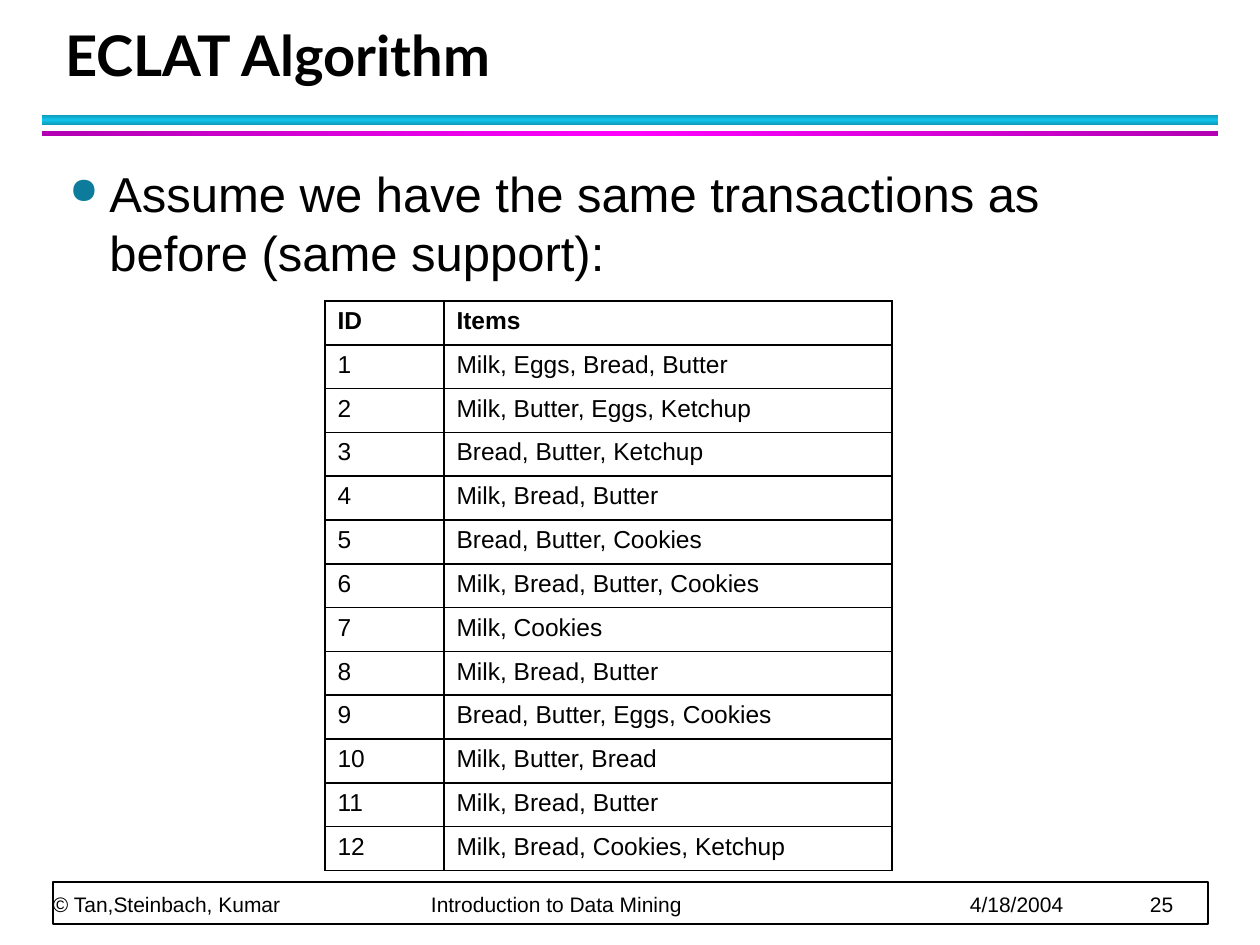
from dataclasses import dataclass
from copy import deepcopy

from pptx import Presentation
from pptx.dml.color import RGBColor
from pptx.enum.shapes import MSO_SHAPE
from pptx.enum.text import MSO_ANCHOR
from pptx.oxml import parse_xml
from pptx.oxml.ns import nsdecls, qn
from pptx.util import Pt

TITLE = "ECLAT Algorithm"
BODY = "Assume we have the same transactions as before (same support):"
HEADER = ("ID", "Items")
TRANSACTIONS = [
    "Milk, Eggs, Bread, Butter",
    "Milk, Butter, Eggs, Ketchup",
    "Bread, Butter, Ketchup",
    "Milk, Bread, Butter",
    "Bread, Butter, Cookies",
    "Milk, Bread, Butter, Cookies",
    "Milk, Cookies",
    "Milk, Bread, Butter",
    "Bread, Butter, Eggs, Cookies",
    "Milk, Butter, Bread",
    "Milk, Bread, Butter",
    "Milk, Bread, Cookies, Ketchup",
]
# Footer parts with their left edge, measured from the footer's own left
FOOTER = [
    ("© Tan,Steinbach, Kumar", 0),
    ("Introduction to Data Mining", 378),
    ("4/18/2004", 917),
    ("25", 1097),
]


@dataclass(frozen=True)
class Theme:
    ink: str = "000000"
    paper: str = "FFFFFF"
    bullet: str = "0C7B9C"
    cyan: tuple = ("0E9BBA", "12C2E9")
    magenta: tuple = ("B200B2", "FF00FF")
    font: str = "Arial"
    title_font: str = "Lato"
    title: int = 32
    body: int = 28
    table: int = 14
    footer: int = 12


T = Theme()
PX = 914400 // 126


def px(*values):
    return [v * PX for v in values]


def rgb(color):
    return RGBColor.from_string(color)


def style(p, size, font=T.font, bold=False):
    for r in p.runs:
        r.font.size = Pt(size)
        r.font.name = font
        r.font.bold = bold
        r.font.color.rgb = rgb(T.ink)


def add_text(slide, box, text, anchor=MSO_ANCHOR.TOP):
    tf = slide.shapes.add_textbox(*px(*box)).text_frame
    tf.word_wrap = True
    tf.vertical_anchor = anchor
    tf.text = text
    return tf


def add_rect(slide, box):
    sp = slide.shapes.add_shape(MSO_SHAPE.RECTANGLE, *px(*box))
    sp.shadow.inherit = False
    return sp


def add_band(slide, box, colors, angle):
    """Rule that runs from the edge colour to the middle colour and back."""
    edge, middle = colors
    sp = add_rect(slide, box)
    sp.line.fill.background()
    sp.fill.gradient()
    sp.fill.gradient_angle = angle
    stops = sp._element.spPr.find(".//" + qn("a:gsLst"))
    stops.append(deepcopy(stops[-1]))
    for stop, color, position in zip(sp.fill.gradient_stops, (edge, middle, edge), (0, 0.5, 1)):
        stop.color.rgb = rgb(color)
        stop.position = position


def add_title(slide):
    tf = add_text(slide, (53, 21, 1142, 73), TITLE, MSO_ANCHOR.BOTTOM)
    p = tf.paragraphs[0]
    p.line_spacing = Pt(36)
    style(p, T.title, T.title_font, bold=True)


def add_body(slide):
    p = add_text(slide, (57, 157, 1147, 714), BODY).paragraphs[0]
    style(p, T.body)
    p.space_before, p.space_after = Pt(3), Pt(4)
    pPr = p._p.get_or_add_pPr()
    indent = 40 * PX
    pPr.set("marL", str(indent))
    pPr.set("indent", str(-indent))
    for xml in (
        f'<a:buClr {nsdecls("a")}><a:srgbClr val="{T.bullet}"/></a:buClr>',
        f'<a:buSzPct {nsdecls("a")} val="75000"/>',
        f'<a:buChar {nsdecls("a")} char="●"/>',
    ):
        pPr.append(parse_xml(xml))


def add_borders(cell):
    tcPr = cell._tc.get_or_add_tcPr()
    for i, side in enumerate(("lnL", "lnR", "lnT", "lnB")):
        tcPr.insert(i, parse_xml(
            f'<a:{side} {nsdecls("a")} w="12700"><a:solidFill>'
            f'<a:srgbClr val="{T.ink}"/></a:solidFill></a:{side}>'))


def add_transactions(slide):
    rows = [HEADER] + [(str(i), items) for i, items in enumerate(TRANSACTIONS, 1)]
    widths = (119, 448)
    height = 570
    table = slide.shapes.add_table(
        len(rows), len(widths), *px(325, 301, sum(widths), height)).table
    table.first_row = table.horz_banding = False
    for column, width in zip(table.columns, px(*widths)):
        column.width = width
    for y, values in enumerate(rows):
        table.rows[y].height = height * PX // len(rows)
        for x, value in enumerate(values):
            cell = table.cell(y, x)
            cell.text = value
            cell.fill.solid()
            cell.fill.fore_color.rgb = rgb(T.paper)
            add_borders(cell)
            style(cell.text_frame.paragraphs[0], T.table, bold=y == 0)


def add_footer(slide):
    frame = add_rect(slide, (53, 882, 1155, 42))
    frame.fill.solid()
    frame.fill.fore_color.rgb = rgb(T.paper)
    frame.line.color.rgb = rgb(T.ink)
    frame.line.width = Pt(1)

    text = "\t".join(part for part, _ in FOOTER)
    tf = add_text(slide, (53, 882, 1153, 35), text, MSO_ANCHOR.BOTTOM)
    tf.margin_left = tf.margin_right = tf.margin_top = tf.margin_bottom = 0
    p = tf.paragraphs[0]
    p.line_spacing = Pt(20)
    style(p, T.footer)
    tabs = "".join(f'<a:tab pos="{left * PX}" algn="l"/>' for _, left in FOOTER[1:])
    p._p.get_or_add_pPr().append(
        parse_xml(f'<a:tabLst {nsdecls("a")}>{tabs}</a:tabLst>'))


def main():
    prs = Presentation()
    prs.slide_width, prs.slide_height = px(1260, 945)
    slide = prs.slides.add_slide(prs.slide_layouts[6])
    add_footer(slide)
    add_band(slide, (42, 115, 1176, 10), T.cyan, 90)
    add_band(slide, (42, 131, 1176, 5), T.magenta, 0)
    add_title(slide)
    add_body(slide)
    add_transactions(slide)
    prs.save("out.pptx")


if __name__ == "__main__":
    main()
